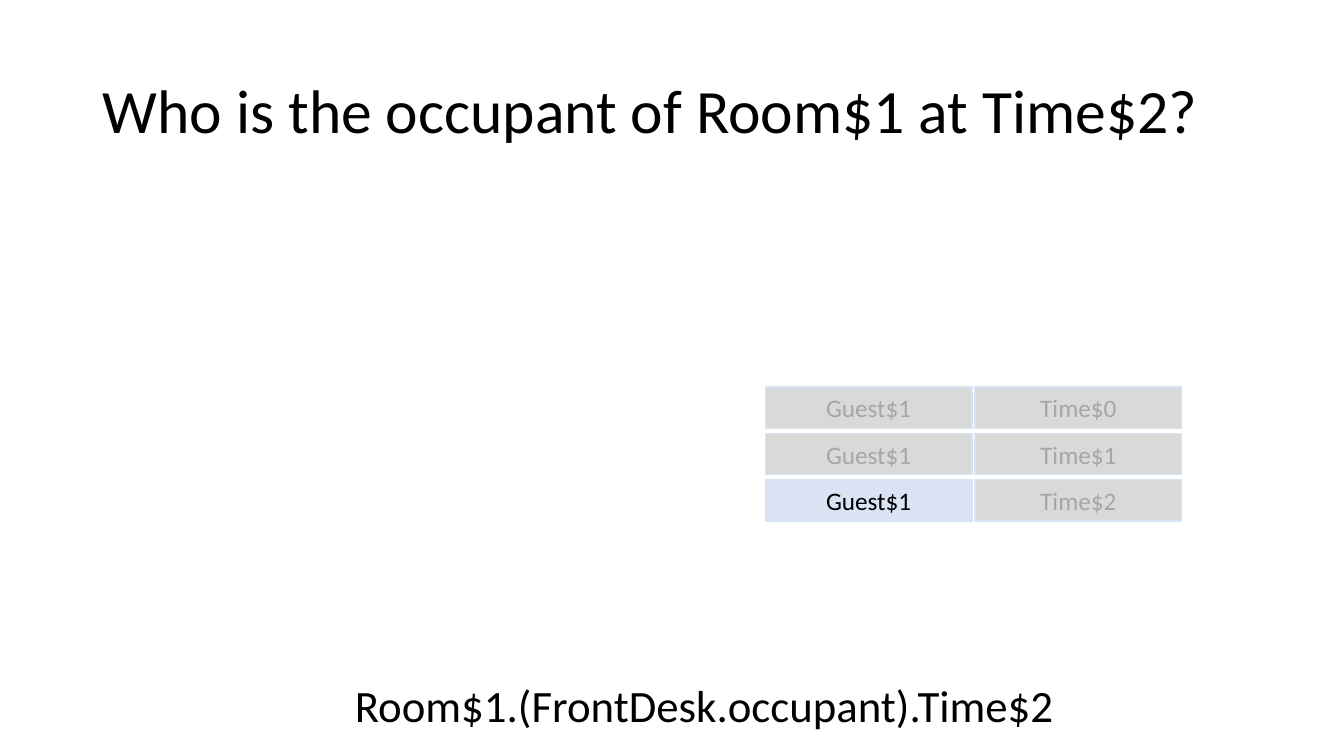
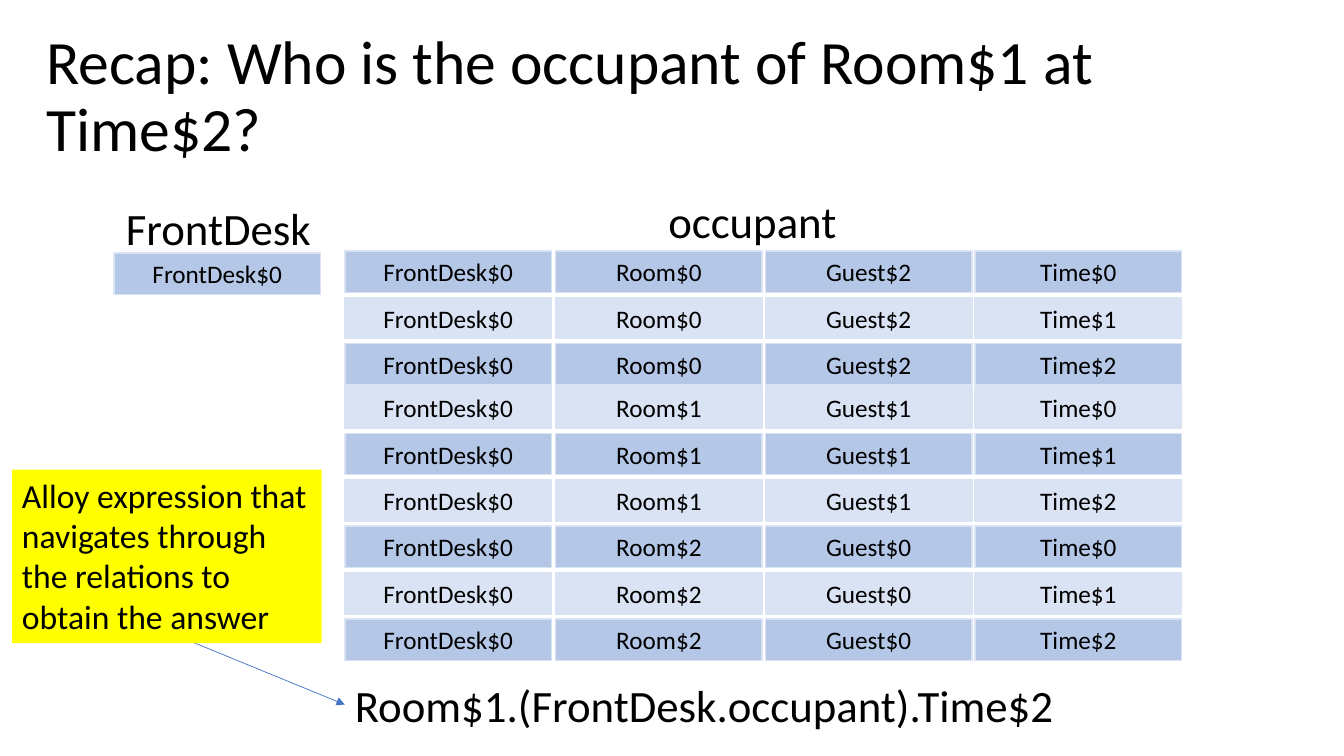
from lxml import etree
from pptx import Presentation
from pptx.dml.color import RGBColor
from pptx.enum.shapes import MSO_CONNECTOR, MSO_SHAPE
from pptx.enum.text import MSO_ANCHOR, MSO_AUTO_SIZE, PP_ALIGN
from pptx.oxml.ns import qn
from pptx.util import Pt

PX = 9144
RECT, LINE = MSO_SHAPE.RECTANGLE, MSO_CONNECTOR.STRAIGHT
LEFT, CENTER = PP_ALIGN.LEFT, PP_ALIGN.CENTER
TOP, MIDDLE = MSO_ANCHOR.TOP, MSO_ANCHOR.MIDDLE
FIXED, GROW = MSO_AUTO_SIZE.NONE, MSO_AUTO_SIZE.SHAPE_TO_FIT_TEXT
FONT = "Calibri"
COLORS = {
    "ink": "000000",
    "dark": "B4C7E7",
    "light": "DAE3F3",
    "gray": "D9D9D9",
    "faded": "A6A6A6",
    "note": "FFFF00",
    "arrow": "4472C4",
}
STYLES = {
    "title": {
        "frame": {"vertical_anchor": MIDDLE, "auto_size": FIXED, "word_wrap": True},
        "para": {"alignment": LEFT, "line_spacing": 0.9},
        "size": 44,
    },
    "cell": {
        "frame": {"vertical_anchor": MIDDLE, "word_wrap": True},
        "para": {"alignment": CENTER},
        "size": 18,
    },
    "label": {
        "frame": {"vertical_anchor": TOP, "auto_size": GROW, "word_wrap": True},
        "para": {"alignment": LEFT},
        "size": 32,
    },
    "query": {
        "frame": {"vertical_anchor": TOP, "auto_size": GROW, "word_wrap": False},
        "para": {"alignment": LEFT},
        "size": 32,
    },
    "note": {
        "frame": {"vertical_anchor": TOP, "auto_size": GROW, "word_wrap": True},
        "para": {"alignment": LEFT},
        "size": 24,
    },
}
CELL_W, CELL_H, ROW_STEP = 205, 41, 46
GRID_LEFTS = (342, 551, 759, 967)
GROUP_TOPS = (249, 384, 522)
GUESTS = ("Guest$2", "Guest$1", "Guest$0")
DESK = "FrontDesk$0"
QUERY = "Room$1.(FrontDesk.occupant).Time$2"


def color(name):
    return RGBColor.from_string(COLORS[name])


def scale(box):
    return [n * PX for n in box]


def apply(target, values):
    for name, value in values.items():
        setattr(target, name, value)


def write(shape, text, style, ink="ink"):
    look = STYLES[style]
    frame = shape.text_frame
    frame.text = text
    apply(frame, look["frame"])
    para = frame.paragraphs[0]
    apply(para, look["para"])
    font = para.runs[0].font
    apply(font, {"name": FONT, "size": Pt(look["size"])})
    font.color.rgb = color(ink)


def add_box(slide, box, text, style, fill, line=None, ink="ink"):
    shape = slide.shapes.add_shape(RECT, *scale(box))
    shape.shadow.inherit = False
    shape.fill.solid()
    shape.fill.fore_color.rgb = color(fill)
    if line:
        shape.line.color.rgb = color(line)
        shape.line.width = Pt(1)
    else:
        shape.line.fill.background()
    write(shape, text, style, ink)


def add_cell(slide, left, top, text, fill, ink="ink"):
    add_box(slide, (left, top, CELL_W, CELL_H), text, "cell", fill, "light", ink)


def add_text(slide, box, text, style):
    write(slide.shapes.add_textbox(*scale(box)), text, style)


def add_arrow(slide, start, end):
    arrow = slide.shapes.add_connector(LINE, *scale(start + end))
    arrow.line.color.rgb = color("arrow")
    arrow.line.width = Pt(0.5)
    tail = etree.SubElement(arrow.line._get_or_add_ln(), qn("a:tailEnd"))
    tail.set("type", "triangle")
    etree.SubElement(arrow._element.spPr, qn("a:effectLst"))


def add_slide(deck, box, title):
    slide = deck.slides.add_slide(deck.slide_layouts[5])
    head = slide.shapes.title
    apply(head, dict(zip(("left", "top", "width", "height"), scale(box))))
    write(head, title, "title")
    add_text(slide, (342, 667, 731, 64), QUERY, "query")
    return slide


def add_match(slide, lefts, top):
    for row in range(3):
        for col, text in enumerate((GUESTS[1], f"Time${row}")):
            found = row == 2 and col == 0
            fill, ink = ("light", "ink") if found else ("gray", "faded")
            add_cell(slide, lefts[col], top + row * ROW_STEP, text, fill, ink)


def add_grid(slide, lefts, tops):
    for room, top in enumerate(tops):
        for time in range(3):
            fill = "light" if (room * 3 + time) % 2 else "dark"
            words = (DESK, f"Room${room}", GUESTS[room], f"Time${time}")
            for left, text in zip(lefts, words):
                add_cell(slide, left, top + time * ROW_STEP, text, fill)


def add_desk(slide, left, top):
    add_text(slide, (left + 2, top, 224, 64), "FrontDesk", "label")
    add_cell(slide, left, top + 57, DESK, "dark")


def add_note(slide, box, tip):
    left, top, width, height = box
    add_arrow(slide, (left + 174, top + height - 3), tip)
    text = "Alloy expression that navigates through the relations to obtain the answer"
    add_box(slide, box, text, "note", "note")


def build_answer(deck):
    title = "Who is the occupant of Room$1 at Time$2?"
    slide = add_slide(deck, (92, 40, 1150, 145), title)
    add_match(slide, GRID_LEFTS[2:], GROUP_TOPS[1])


def build_recap(deck):
    title = "Recap: Who is the occupant of Room$1 at Time$2?"
    slide = add_slide(deck, (36, 25, 1276, 145), title)
    add_text(slide, (653, 187, 224, 64), "occupant", "label")
    add_desk(slide, 113, 194)
    add_grid(slide, GRID_LEFTS, GROUP_TOPS)
    add_note(slide, (12, 466, 307, 172), (342, 699))


def main():
    deck = Presentation()
    apply(deck, {"slide_width": 1333 * PX, "slide_height": 750 * PX})
    build_answer(deck)
    build_recap(deck)
    deck.save("out.pptx")


if __name__ == "__main__":
    main()
